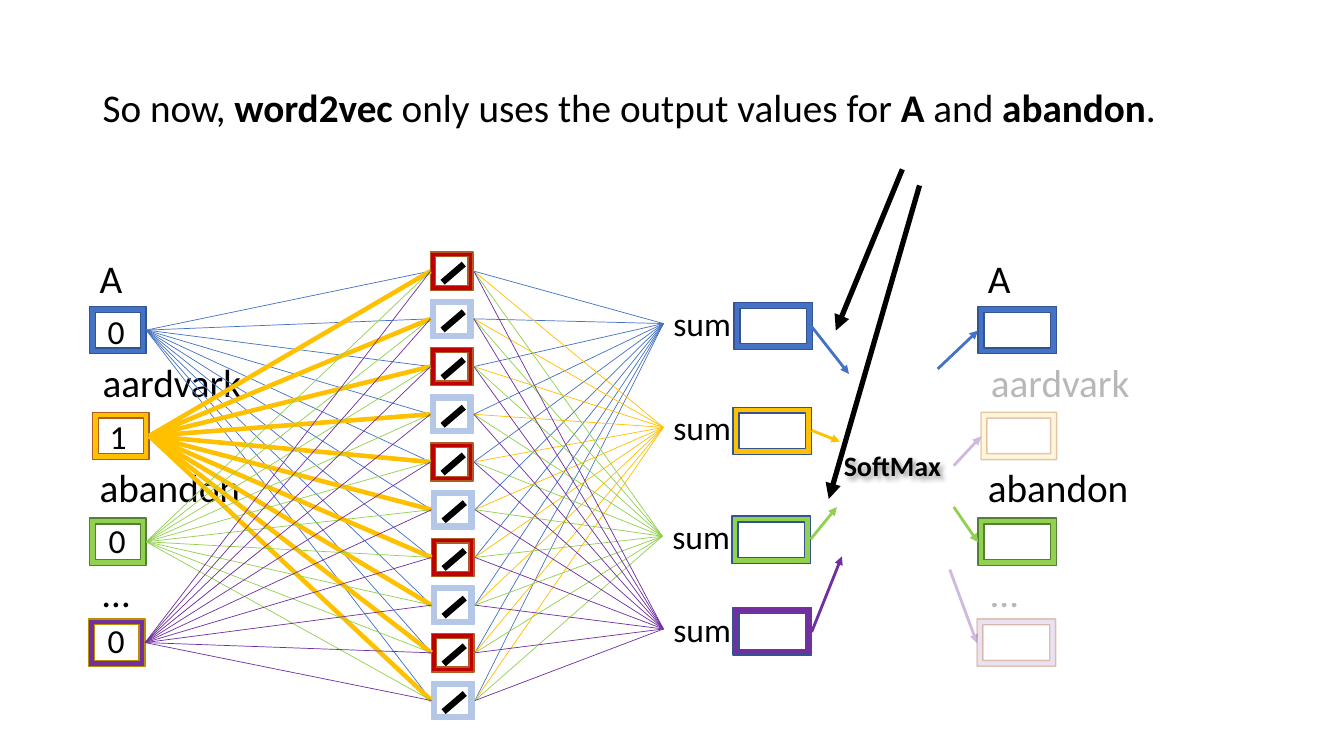
from lxml import etree
from pptx import Presentation
from pptx import util as u
from pptx.dml.color import RGBColor
from pptx.enum import shapes, text
from pptx.oxml import ns

COLORS = {
    "black": "000000", "white": "FFFFFF", "blue": "4472C4", "gold": "FFC000",
    "green": "92D050", "purple": "7030A0", "red": "C00000", "pale": "B4C7E7",
    "navy": "325491", "rust": "AF5C24", "moss": "538035", "ochre": "BD8E00",
}
FONT = "Calibri"
TITLE = [("So now, ", False), ("word2vec", True),
         (" only uses the output values for ", False), ("A", True),
         (" and ", False), ("abandon", True), (".", False)]

# Words: label, label width, label top, colour
WORDS = [("A", 1.63, 2.47, "blue"), ("aardvark", 1.63, 3.51, "gold"),
         ("abandon", 1.63, 4.55, "green"), ("…", 2.17, 5.59, "purple")]
ROW_TOPS = [3.04, 4.09, 5.14, 6.14]
FRAME_H = 0.47

# Inputs: label left, frame left, outline, value, value left, value top, weight
INPUT_W = 0.56
INPUTS = [(0.89, 0.89, "navy", "0", 0.97, 3.04, 0.5),
          (0.92, 0.92, "rust", "1", 0.99, 4.08, 3.25),
          (0.89, 0.89, "moss", "0", 0.98, 5.11, 0.5),
          (0.92, 0.88, "ochre", "0", 0.97, 6.10, 0.5)]

# Outputs: label left, frame left, width, outline, label/fill/outline opacity
SOLID = (100, 100, 100)
FADED = (27, 14, 32)
OUTPUTS = [(9.70, 9.70, 0.78, "navy", SOLID), (9.73, 9.73, 0.75, "rust", FADED),
           (9.70, 9.70, 0.78, "moss", SOLID), (9.73, 9.69, 0.78, "rust", FADED)]

# Sums: text left, text top, frame left, frame top
SUM_W = 0.78
SUMS = [(6.58, 2.96, 7.28, 3.00), (6.58, 3.99, 7.27, 4.04),
        (6.57, 5.07, 7.26, 5.12), (6.58, 5.99, 7.27, 6.03)]

# Hidden layer
NODES = 10
NODE_LEFT, NODE_TOP, NODE_STEP = 4.27, 2.5, 4.26 / 9
NODE_W, NODE_H = 0.42, 0.38

# Arrows: start, end, colour, width, opacity
ARROWS = [
    ((8.05, 3.24), (8.42, 3.71), "blue", 2, 100),
    ((8.05, 4.27), (8.33, 4.38), "gold", 2, 100),
    ((8.04, 5.35), (8.30, 5.03), "green", 2, 100),
    ((8.05, 6.27), (8.35, 5.52), "purple", 2, 100),
    ((9.30, 3.66), (9.70, 3.28), "blue", 2, 100),
    ((9.46, 4.62), (9.73, 4.33), "purple", 2, 32),
    ((9.46, 5.03), (9.70, 5.38), "green", 2, 100),
    ((9.42, 5.65), (9.69, 6.38), "purple", 2, 32),
]
POINTERS = [((8.95, 1.68), (8.29, 3.28), "black", 3.75, 100),
            ((9.12, 1.84), (8.22, 4.95), "black", 3.75, 100)]

prs = Presentation()
prs.slide_width, prs.slide_height = u.Inches(13.33), u.Inches(7.5)
s = prs.slides.add_slide(prs.slide_layouts[6])


def paint(fill, name, opacity=100):
    fill.solid()
    fill.fore_color.rgb = RGBColor.from_string(COLORS[name])
    if opacity < 100:
        for clr in fill._xPr.iter(ns.qn("a:srgbClr")):
            etree.SubElement(clr, ns.qn("a:alpha"), val=str(opacity * 1000))


def add_text(runs, left, top, width, height, size, opacity=100, wrap=True):
    """Add a one-paragraph text box; runs are (text, bold) pairs."""
    sp = s.shapes.add_textbox(*map(u.Inches, (left, top, width, height)))
    tf = sp.text_frame
    tf.word_wrap = wrap
    tf.vertical_anchor = text.MSO_ANCHOR.TOP
    for words, bold in runs:
        r = tf.paragraphs[0].add_run()
        r.text = words
        r.font.name, r.font.size, r.font.bold = FONT, u.Pt(size), bold
        paint(r.font.fill, "black", opacity)
    return sp


def add_frame(left, top, width, height, fill, line, fill_op=100, line_op=100):
    sp = s.shapes.add_shape(shapes.MSO_SHAPE.FRAME,
                            *map(u.Inches, (left, top, width, height)))
    sp.shadow.inherit = False
    paint(sp.fill, fill, fill_op)
    paint(sp.line.fill, line, line_op)
    sp.line.width = u.Pt(1)


def add_line(start, end, color, width, opacity=100, arrow=False):
    cx = s.shapes.add_connector(shapes.MSO_CONNECTOR.STRAIGHT,
                                *map(u.Inches, (*start, *end)))
    paint(cx.line.fill, color, opacity)
    cx.line.width = u.Pt(width)
    if arrow:
        etree.SubElement(cx.line._get_or_add_ln(), ns.qn("a:tailEnd"), type="triangle")
    etree.SubElement(cx._element.spPr, ns.qn("a:effectLst"))


def add_text_shadow(sp):
    effects = etree.SubElement(sp._element.spPr, ns.qn("a:effectLst"))
    shadow = etree.SubElement(effects, ns.qn("a:outerShdw"), blurRad="50800",
                              dist="38100", dir="2700000", algn="tl", rotWithShape="0")
    clr = etree.SubElement(shadow, ns.qn("a:srgbClr"), val=COLORS["black"])
    etree.SubElement(clr, ns.qn("a:alpha"), val="40000")


title = add_text(TITLE, 0.92, 0.83, 11.5, 5.92, 28)
title.text_frame.paragraphs[0].line_spacing = 0.9
title.text_frame.paragraphs[0].space_before = u.Pt(10)

for (word, width, label_top, color), top, inp, out in zip(WORDS, ROW_TOPS, INPUTS, OUTPUTS):
    add_text([(word, False)], inp[0], label_top, width, 0.57, 28)
    add_frame(inp[1], top, INPUT_W, FRAME_H, color, inp[2])
    label_left, left, out_w, outline, (label_op, fill_op, line_op) = out
    add_text([(word, False)], label_left, label_top, width, 0.57, 28, label_op)
    add_frame(left, top, out_w, FRAME_H, color, outline, fill_op, line_op)

for (text_left, text_top, left, top), word in zip(SUMS, WORDS):
    add_frame(left, top, SUM_W, FRAME_H, word[3], "navy")
    add_text([("sum", False)], text_left, text_top, 0.8, 0.5, 24)

add_text_shadow(add_text([("SoftMax", True)], 8.27, 4.4, 1.19, 0.44, 20))
for arrow in ARROWS:
    add_line(*arrow, arrow=True)

nodes = [(NODE_LEFT + 0.01 * (i >= NODES // 2), NODE_TOP + i * NODE_STEP)
         for i in range(NODES)]
for i, (left, top) in enumerate(nodes):
    fill, outline = ("pale", "pale") if i % 2 else ("red", "rust")
    add_line((left + 0.12, top + 0.3), (left + 0.33, top + 0.12), "black", 4.5)
    add_frame(left, top, NODE_W, NODE_H, fill, outline)

for word, top, inp in zip(WORDS, ROW_TOPS, INPUTS):
    source = (inp[1] + INPUT_W, top + FRAME_H / 2)
    for left, node_top in nodes:
        add_line(source, (left, node_top + NODE_H / 2), word[3], inp[6])

for (text_left, text_top, _, _), word in zip(SUMS, WORDS):
    for left, node_top in nodes:
        add_line((text_left, text_top + 0.25),
                 (left + NODE_W + 0.01, node_top + NODE_H / 2), word[3], 0.5)

for _, _, _, value, left, top, _ in INPUTS:
    add_text([(value, False)], left, top, 0.37, 0.5, 24, wrap=False)
for pointer in POINTERS:
    add_line(*pointer, arrow=True)

prs.save("out.pptx")
